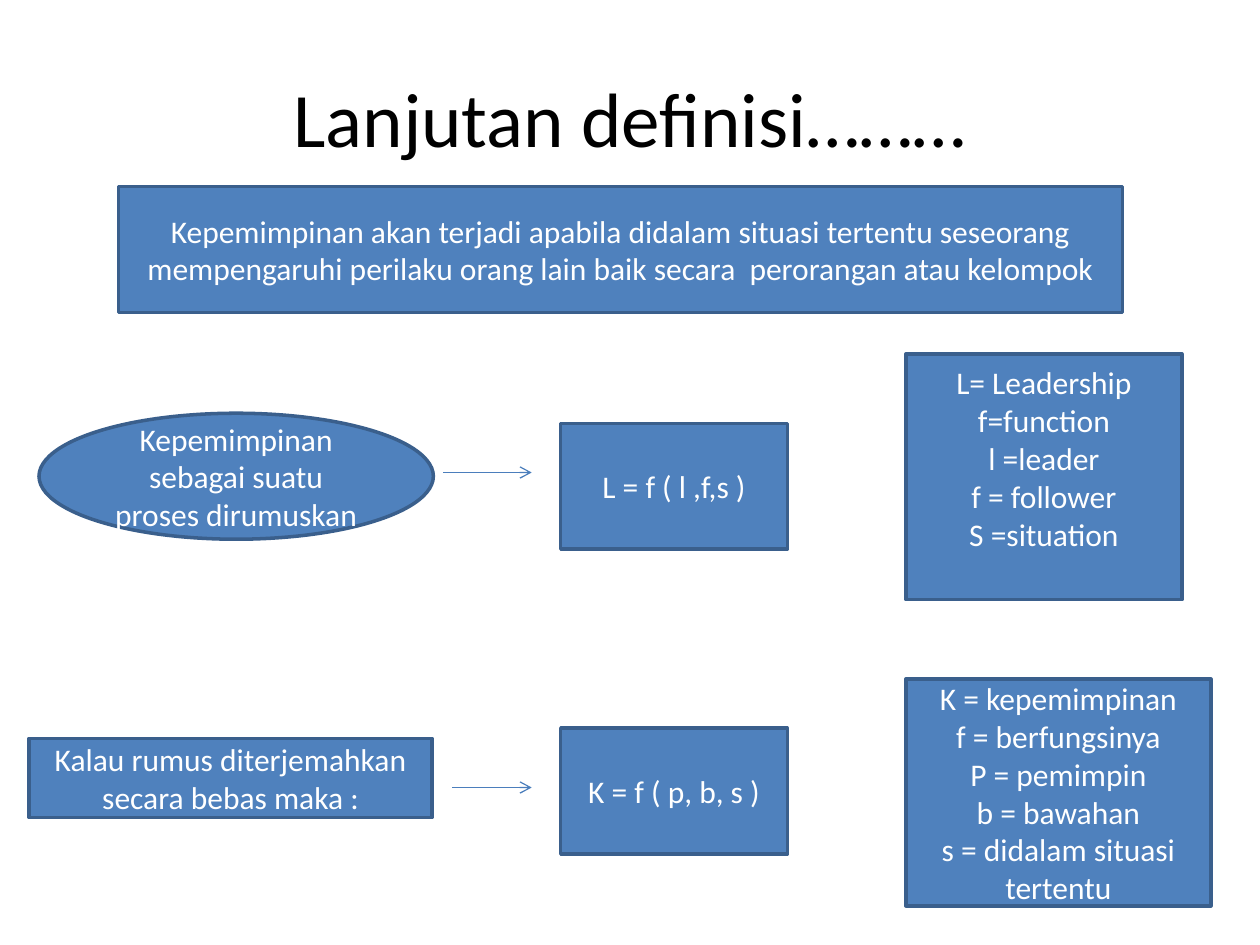
from lxml import etree
from pptx import Presentation
from pptx.dml import color
from pptx.enum import shapes, text
from pptx.oxml import ns
from pptx.util import Inches, Pt

COLORS = {"fill": "4F81BD", "edge": "3A5F8C", "arrow": "4B7EBC",
          "light": "FFFFFF", "dark": "000000"}
RECT = shapes.MSO_SHAPE.RECTANGLE
OVAL = shapes.MSO_SHAPE.OVAL


def rgb(name):
    return color.RGBColor.from_string(COLORS[name])


def assign(item, values):
    for key, value in values.items():
        setattr(item, key, value)


def write(shape, lines, size, tone, base=0.05):
    frame = shape.text_frame
    assign(frame, {"word_wrap": True, "vertical_anchor": text.MSO_ANCHOR.MIDDLE,
                   "margin_bottom": Inches(base)})
    frame.text = "\n".join(lines)
    for para in frame.paragraphs:
        para.alignment = text.PP_ALIGN.CENTER
        assign(para.font, {"name": "Calibri", "size": Pt(size)})
        para.font.color.rgb = rgb(tone)


def panel(slide, kind, box, lines, base=0.05):
    shape = slide.shapes.add_shape(kind, *map(Inches, box))
    shape.shadow.inherit = False
    shape.fill.solid()
    shape.fill.fore_color.rgb = rgb("fill")
    shape.line.color.rgb = rgb("edge")
    shape.line.width = Pt(2)
    write(shape, lines, 18, "light", base)


def arrow(slide, start, end, y):
    ends = map(Inches, (start, y, end, y))
    line = slide.shapes.add_connector(shapes.MSO_CONNECTOR.STRAIGHT, *ends)
    line.line.color.rgb = rgb("arrow")
    line.line.width = Pt(0.75)
    etree.SubElement(line.line._get_or_add_ln(), ns.qn("a:tailEnd"), type="arrow")
    etree.SubElement(line._element.spPr, ns.qn("a:effectLst"))


def header(slide, left, top, width):
    title = slide.shapes.add_textbox(*map(Inches, (left, top, width, 1.25)))
    write(title, ["Lanjutan definisi………"], 44, "dark")
    panel(slide, RECT, (left + 0.44, top + 1.18, 7.97, 1),
          ["Kepemimpinan akan terjadi apabila didalam situasi tertentu seseorang "
           "mempengaruhi perilaku orang lain baik secara  perorangan atau kelompok"])


def row(slide, left, top, part):
    def place(box):
        x, y, width, height = box
        return left + x, top + y, width, height

    panel(slide, RECT, place((4.22, 0, 1.8, 1)), [part["rule"]])
    panel(slide, part["kind"], place(part["lead"]), [part["words"]])
    panel(slide, RECT, place(part["key"]), part["terms"], part["base"])
    start, y = part["arrow"]
    arrow(slide, left + start, left + 3.99, top + y)


ROWS = [
    (3.36, {"kind": OVAL, "lead": (0.08, -0.08, 3.13, 1),
            "words": "Kepemimpinan sebagai suatu proses dirumuskan",
            "rule": "L = f ( l ,f,s )", "arrow": (3.29, 0.39),
            "key": (6.96, -0.55, 2.19, 1.95), "base": 0.35,
            "terms": ["L= Leadership", "f=function", "l =leader",
                      "f = follower", "S =situation"]}),
    (5.78, {"kind": RECT, "lead": (0, 0.08, 3.2, 0.63),
            "words": "Kalau rumus diterjemahkan secara bebas maka :",
            "rule": "K = f ( p, b, s )", "arrow": (3.36, 0.47),
            "key": (6.96, -0.39, 2.42, 1.8), "base": 0.05,
            "terms": ["K = kepemimpinan", "f = berfungsinya", "P = pemimpin",
                      "b = bawahan", "s = didalam situasi tertentu"]}),
]

deck = Presentation()
assign(deck, {"slide_width": Inches(10), "slide_height": Inches(7.5)})
slide = deck.slides.add_slide(deck.slide_layouts[6])
header(slide, 0.5, 0.3, 9)
for top, part in ROWS:
    row(slide, 0.23, top, part)
deck.save("out.pptx")
